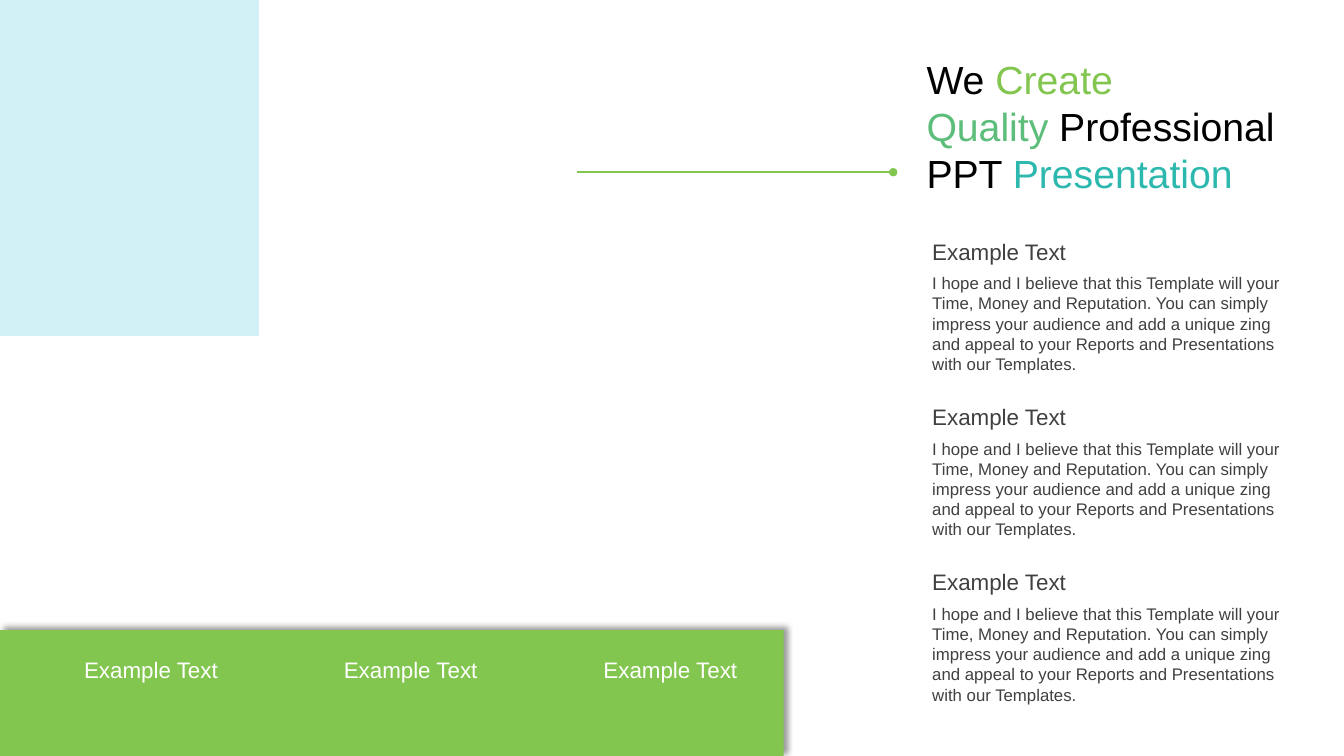
"""Build a slide with a coloured title, three text sections and a green label bar."""
from lxml import etree
from pptx import Presentation
from pptx.dml.color import RGBColor
from pptx.enum.shapes import MSO_CONNECTOR as CONN, MSO_SHAPE as SHAPE
from pptx.enum.text import MSO_ANCHOR as ANCHOR, MSO_AUTO_SIZE as AUTO, PP_ALIGN as ALIGN
from pptx.oxml import parse_xml
from pptx.oxml.ns import nsdecls, qn
from pptx.util import Pt

BLACK = RGBColor(0x00, 0x00, 0x00)
WHITE = RGBColor(0xFF, 0xFF, 0xFF)
GREY = RGBColor(0x40, 0x40, 0x40)
PALE_BLUE = RGBColor(0xD0, 0xF0, 0xF6)
LIME = RGBColor(0x82, 0xC6, 0x50)
GREEN = RGBColor(0x5C, 0xBE, 0x7A)
TEAL = RGBColor(0x2C, 0xB8, 0xAE)

HEADING = "Example Text"
BODY = ("I hope and I believe that this Template will your Time, Money and Reputation. "
        "You can simply impress your audience and add a unique zing and appeal to your "
        "Reports and Presentations with our Templates.")
TITLE = [
    [("We ", BLACK), ("Create", LIME)],
    [("Quality ", GREEN), ("Professional", BLACK)],
    [("PPT ", BLACK), ("Presentation", TEAL)],
]
COLUMN_LEFT, COLUMN_WIDTH = 658.8, 267.1

prs = Presentation()
prs.slide_width, prs.slide_height = Pt(960), Pt(540)
s = prs.slides.add_slide(prs.slide_layouts[5])


def add_block(left, top, width, height, color):
    sp = s.shapes.add_shape(SHAPE.RECTANGLE, Pt(left), Pt(top), Pt(width), Pt(height))
    sp.fill.solid()
    sp.fill.fore_color.rgb = color
    sp.line.fill.background()
    sp.shadow.inherit = False
    return sp


def add_text(left, top, width, height, text, size, color):
    tf = s.shapes.add_textbox(Pt(left), Pt(top), Pt(width), Pt(height)).text_frame
    tf.word_wrap = True
    tf.text = text
    font = tf.paragraphs[0].runs[0].font
    font.name, font.size, font.color.rgb = "Arial", Pt(size), color


add_block(0, 0, 185, 240, PALE_BLUE)
bar = add_block(0, 450, 559.7, 90, LIME)
bar.element.spPr.find(qn("a:effectLst")).append(parse_xml(
    f'<a:outerShdw {nsdecls("a")} blurRad="{Pt(4)}" dist="{Pt(3)}" dir="18900000" '
    'algn="bl" rotWithShape="0"><a:srgbClr val="000000"><a:alpha val="40000"/>'
    '</a:srgbClr></a:outerShdw>'))

pointer = s.shapes.add_connector(CONN.STRAIGHT, Pt(638), Pt(123), Pt(412.5), Pt(123))
pointer.line.color.rgb = LIME
pointer.line.width = Pt(1.5)
etree.SubElement(pointer.line._get_or_add_ln(), qn("a:headEnd"), type="oval")
etree.SubElement(pointer.element.spPr, qn("a:effectLst"))

title = s.shapes.title
title.left, title.top = Pt(COLUMN_LEFT), Pt(39)
title.width, title.height = Pt(COLUMN_WIDTH), Pt(101.5)
tf = title.text_frame
tf.word_wrap = True
tf.auto_size = AUTO.NONE
tf.vertical_anchor = ANCHOR.MIDDLE
tf.margin_left = tf.margin_right = Pt(3)
tf.margin_top = tf.margin_bottom = Pt(0)
tf.text = "\n".join("" for line in TITLE)
for p, line in zip(tf.paragraphs, TITLE):
    p.alignment = ALIGN.LEFT
    for text, color in line:
        r = p.add_run()
        r.text = text
        r.font.name, r.font.size, r.font.color.rgb = "Arial", Pt(28), color

for i in range(3):
    top = 166.3 + i * 118.1
    add_text(COLUMN_LEFT, top, COLUMN_WIDTH, 26.7, HEADING, 16, GREY)
    add_text(COLUMN_LEFT, top + 25.2, COLUMN_WIDTH, 80, BODY, 12, GREY)
    add_text(53 + i * 185.5, 465, 124, 26.7, HEADING, 16, WHITE)

prs.save("out.pptx")
